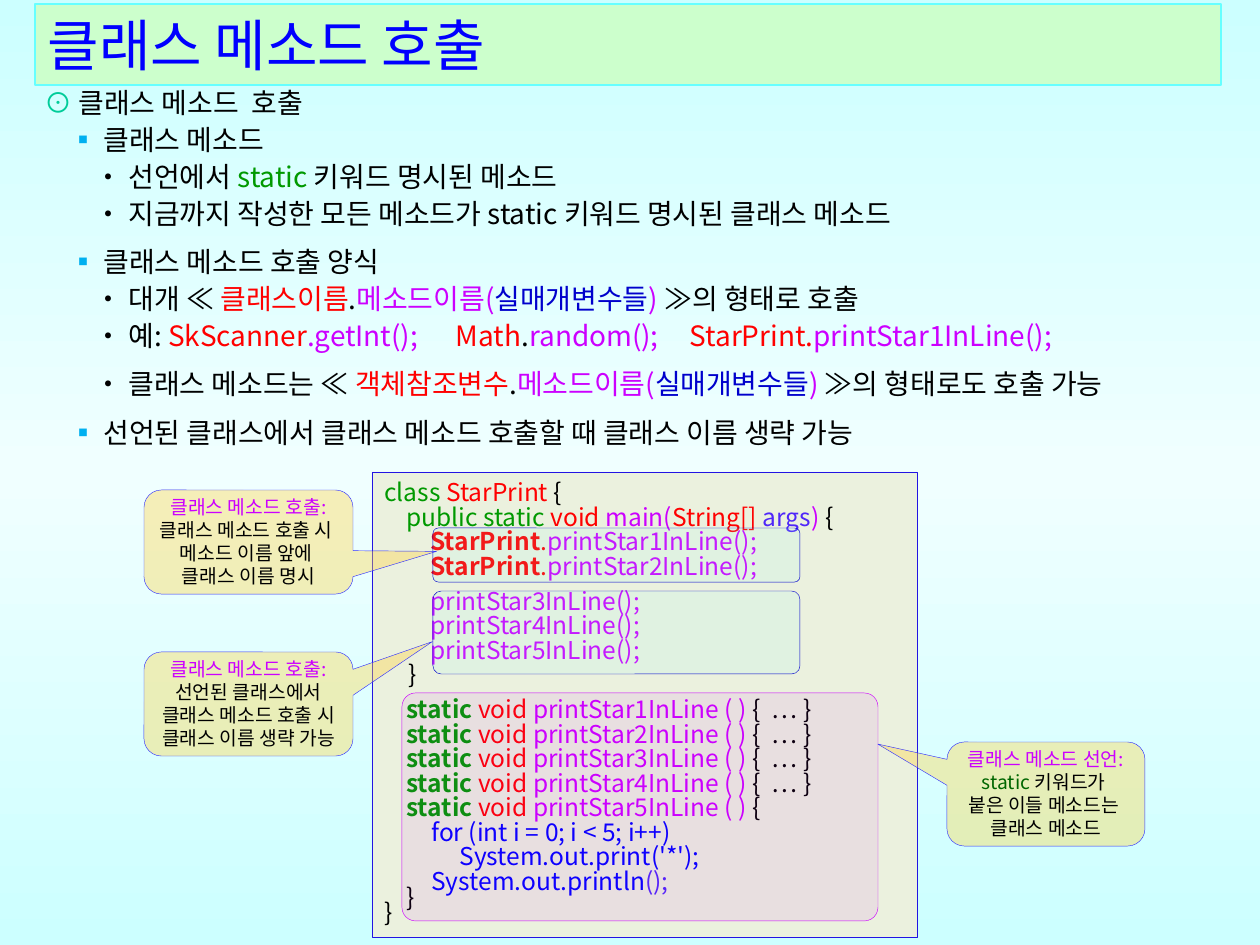
import copy
import pptx
import pptx.util
import pptx.dml.color
import pptx.enum.shapes
import pptx.enum.text
import pptx.oxml
import pptx.oxml.ns

PX = 914400 / 126
FONT = "Noto Sans CJK KR"
Pt = pptx.util.Pt
KIND = pptx.enum.shapes.MSO_SHAPE
ANCHOR = pptx.enum.text.MSO_ANCHOR
ALIGN = pptx.enum.text.PP_ALIGN

INK = {
    "black": "000000", "red": "FF0000", "pink": "CC00FF", "green": "009900",
    "dark": "006600", "navy": "0000CC", "blue": "0000FF", "violet": "4F27F9",
    "teal": "00CC99", "sky": "00B0F0", "mint": "CCFFCC", "aqua": "66FFFF",
    "cream": "EBF1DE", "edge": "2213E3", "cyan": "85FFFF", "gold": "FFD13F",
    "rim": "3333FF", "pale": "CCFFFF", "mist": "F0FFFF",
}

# Content: a paragraph is (indent px, space before pt, runs);
# a run is (colour, text), with "*" after the colour for bold
TITLE = "클래스 메소드 호출"


def call(lead, owner, tail):
    return [("black", "• " + lead), ("red", owner), ("black", "."),
            ("pink", "메소드이름("), ("navy", "실매개변수들"), ("pink", ") "),
            ("black", tail)]


def item(text):
    return [("sky", "▪"), ("black", " " + text)]


NOTES = [
    (0, 0, [("teal", "⊙ "), ("black", "클래스 메소드  호출")]),
    (25, 0, item("클래스 메소드")),
    (50, 0, [("black", "• 선언에서 "), ("green", "static "),
             ("black", "키워드 명시된 메소드")]),
    (50, 0, [("black", "• 지금까지 작성한 모든 메소드가 static 키워드 명시된 클래스 메소드")]),
    (25, 6.6, item("클래스 메소드 호출 양식")),
    (50, 0, call("대개 ≪ ", "클래스이름", "≫의 형태로 호출")),
    (50, 0, [("black", "• 예: "), ("red", "SkScanner"), ("pink", ".getInt();"),
             ("gap", 18), ("red", "Math"), ("black", "."), ("pink", "random();"),
             ("gap", 14), ("red", "StarPrint."), ("pink", "printStar1InLine();")]),
    (50, 6.6, call("클래스 메소드는 ≪ ", "객체참조변수", "≫의 형태로도 호출 가능")),
    (25, 6.6, item("선언된 클래스에서 클래스 메소드 호출할 때 클래스 이름 생략 가능")),
]

CODE = [
    (0, 6, [("green", "class "), ("red", "StarPrint "), ("black", "{")]),
    (22, 0, [("green", "public static "), ("red", "void "), ("pink", "main("),
             ("red", "String[] "), ("violet", "args"), ("pink", ") "), ("black", "{")]),
    *[(46, 0, [("red*", "StarPrint"), ("red", "."), ("pink", f"printStar{n}InLine();")])
      for n in (1, 2)],
    *[(46, 6 if n == 3 else 0, [("pink", f"printStar{n}InLine();")]) for n in (3, 4, 5)],
    (24, 0, [("black", "}")]),
    *[(22, 6 if n == 1 else 0,
       [("green*", "static "), ("red", "void "), ("pink", f"printStar{n}InLine ( ) "),
        ("black", "{  … }" if n < 5 else "{")]) for n in range(1, 6)],
    (47, 0, [("blue", "for (int i = 0; i < 5; i++)")]),
    (75, 0, [("blue", "System.out.print('*');")]),
    (47, 0, [("blue", "System.out.println"), ("violet", "();")]),
    (22, 0, [("black", "}")]),
    (0, 0, [("black", "}")]),
]

# Box, corner, fill, opacity, line
MARKS = [
    ((433, 528, 367, 54), 0.1, "cyan", 10, "navy"),
    ((433, 591, 367, 83), 0.1, "cyan", 10, "navy"),
    ((402, 693, 476, 228), 0.06, "pink", 7, "pink"),
]

# Box, tail point, heading, lines
CALLS = [
    ((144, 652, 209, 104), (0.88, -0.6), "클래스 메소드 호출:",
     [[("black", "선언된 클래스에서")], [("black", " 클래스 메소드 호출 시 ")],
      [("black", "클래스 이름 생략 가능")]]),
    ((144, 490, 209, 104), (0.9, 0.09), "클래스 메소드 호출:",
     [[("black", "클래스 메소드 호출 시 ")], [("black", "메소드 이름 앞에 ")],
      [("black", "클래스 이름 명시")]]),
    ((947, 742, 198, 104), (-0.85, -0.48), "클래스 메소드 선언:",
     [[("dark", "static "), ("black", "키워드가 ")], [("black", "붙은 이들 메소드는 ")],
      [("black", "클래스 메소드")]]),
]


def px(n):
    return round(n * PX)


def rgb(name):
    return pptx.dml.color.RGBColor.from_string(INK[name])


def write(shape, paras, size, space=None, align=ALIGN.LEFT, anchor=ANCHOR.TOP, inset=None):
    frame = shape.text_frame
    frame.word_wrap = True
    frame.auto_size = pptx.enum.text.MSO_AUTO_SIZE.NONE
    frame.vertical_anchor = anchor
    if inset is not None:
        frame.margin_left = frame.margin_right = inset
        frame.margin_top = frame.margin_bottom = inset
    for i, (indent, before, runs) in enumerate(paras):
        para = frame.paragraphs[0] if i == 0 else frame.add_paragraph()
        para.alignment = align
        para.space_before = Pt(before)
        if space:
            para.line_spacing = space
        if indent:
            props = para._p.get_or_add_pPr()
            props.set("marL", str(px(indent)))
            props.set("indent", "0")
        for ink, text in runs:
            run = para.add_run()
            font = run.font
            props = font._element
            if ink == "gap":  # one space, widened by letter spacing
                props.set("spc", str(text * 100))
                ink, text = "black", " "
            run.text = text
            font.size = Pt(size)
            font.bold = ink.endswith("*")
            font.color.rgb = rgb(ink.rstrip("*"))
            font.name = FONT
            east = pptx.oxml.ns.qn("a:ea")
            props.append(props.makeelement(east, {"typeface": FONT}))


def paint(shape, fill, line, width=0.25, alpha=100):
    shape.fill.solid()
    shape.fill.fore_color.rgb = rgb(fill)
    shape.line.color.rgb = rgb(line)
    shape.line.width = Pt(width)
    if alpha < 100:
        tint = shape._element.spPr.xpath("./a:solidFill/a:srgbClr")[0]
        name = pptx.oxml.ns.qn("a:alpha")
        tint.append(tint.makeelement(name, {"val": str(alpha * 1000)}))


def draw(slide, kind, box, *looks):
    shape = slide.shapes.add_shape(kind, *map(px, box))
    shape.shadow.inherit = False
    paint(shape, *looks)
    return shape


def main():
    deck = pptx.Presentation()
    deck.slide_width, deck.slide_height = px(1260), px(945)
    slide = deck.slides.add_slide(deck.slide_layouts[5])

    # Background
    back = slide.background.fill
    back.gradient()
    back.gradient_angle = 270
    stops = slide.element.xpath(".//a:gsLst")[0]
    stops.insert(1, copy.deepcopy(stops[0]))
    for stop, ink, at in zip(back.gradient_stops, ("pale", "mist", "pale"), (0, 0.5, 1)):
        stop.color.rgb = rgb(ink)
        stop.position = at

    # Title
    title = slide.shapes.title
    title.left, title.top, title.width, title.height = map(px, (35, 4, 1186, 81))
    paint(title, "mint", "aqua", 0.75)
    write(title, [(0, 0, [("blue", TITLE)])], 32)

    # Notes
    notes = slide.shapes.add_textbox(*map(px, (32, 74, 1216, 383)))
    write(notes, NOTES, 16, 1.1, anchor=ANCHOR.MIDDLE)

    # Code
    code = draw(slide, KIND.RECTANGLE, (372, 472, 545, 465), "cream", "edge")
    write(code, CODE, 14, Pt(14), anchor=ANCHOR.MIDDLE)
    for para in code.text_frame.paragraphs[-2:]:
        para.line_spacing = Pt(9)

    # Marked parts of the code
    for box, bend, fill, alpha, line in MARKS:
        mark = draw(slide, KIND.ROUNDED_RECTANGLE, box, fill, line, 0.25, alpha)
        mark.adjustments[0] = bend

    # Callouts
    for box, tail, head, lines in CALLS:
        note = draw(slide, KIND.ROUNDED_RECTANGULAR_CALLOUT, box, "gold", "rim", 0.25, 37)
        note.adjustments[0], note.adjustments[1] = tail
        paras = [(0, 0, runs) for runs in [[("pink", head)], *lines]]
        write(note, paras, 11, align=ALIGN.CENTER, inset=0)

    deck.save("out.pptx")


if __name__ == "__main__":
    main()
